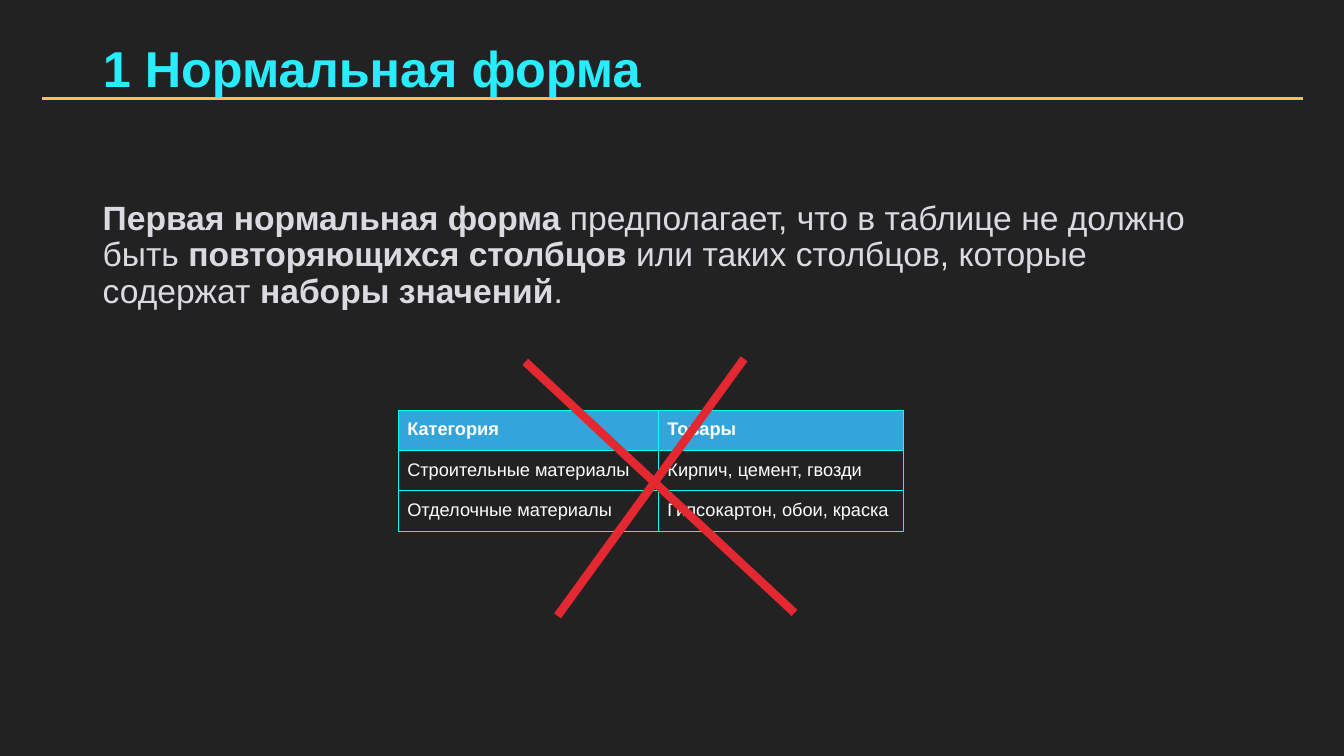
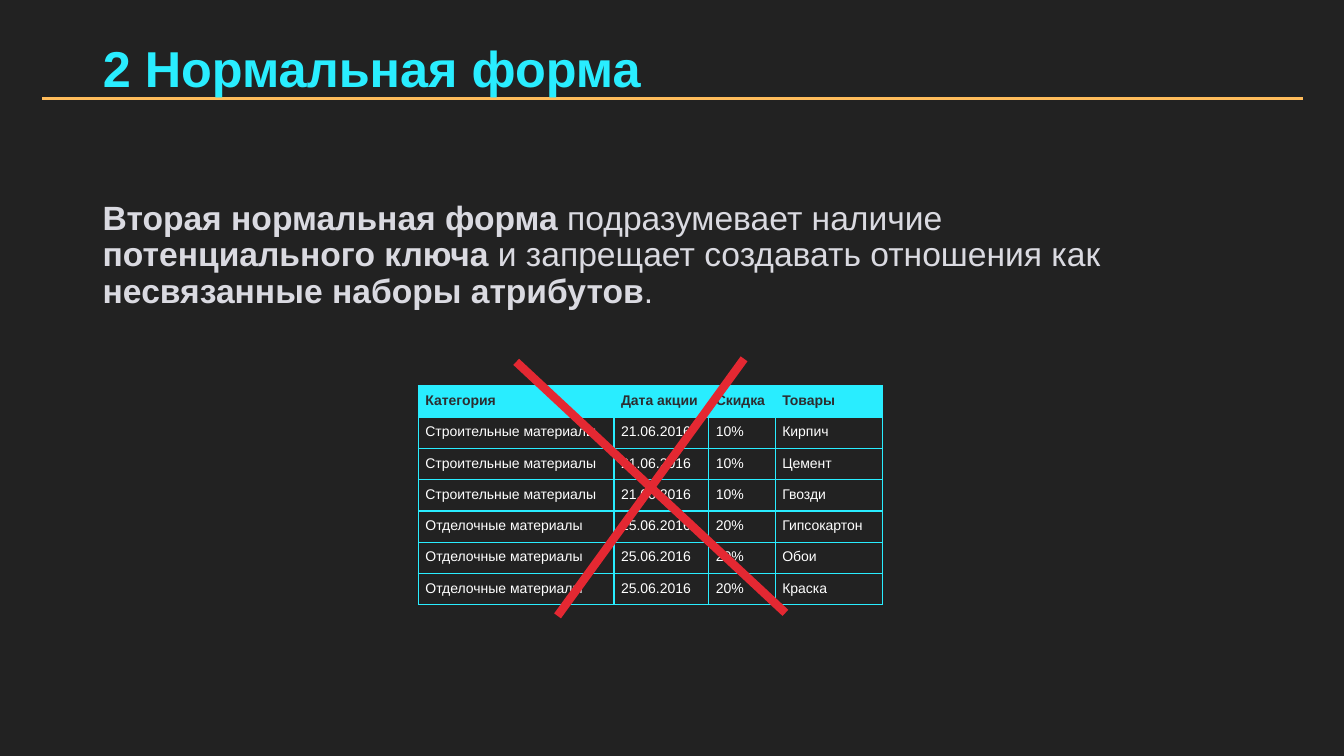
from lxml.etree import SubElement
from pptx import Presentation
from pptx.dml.color import RGBColor
from pptx.enum.shapes import MSO_CONNECTOR
from pptx.enum.text import MSO_ANCHOR, MSO_AUTO_SIZE, PP_ALIGN
from pptx.oxml.ns import qn
from pptx.util import Inches, Pt

BACK, GOLD, CYAN, PALE = "222222", "FFBC5B", "29EDFF", "DADAE1"
RED, WHITE, BLUE, AQUA, DARK = "E42832", "FFFFFF", "34A5DA", "00FFFF", "2C2D30"


def color(code):
    return RGBColor.from_string(code)


class Deck:
    """Holds the shared style and the current slide."""

    font = "Arial"

    def __init__(self):
        self.prs = Presentation()
        self.prs.slide_width, self.prs.slide_height = Inches(13.33), Inches(7.5)
        fill = self.prs.slide_master.background.fill
        fill.solid()
        fill.fore_color.rgb = color(BACK)
        self.slide = None

    def style(self, run, size, code, bold):
        font = run.font
        font.name, font.size, font.bold = self.font, Pt(size), bold
        font.color.rgb = color(code)

    def place(self, shape, left, top, width, height):
        shape.left, shape.top = Inches(left), Inches(top)
        shape.width, shape.height = Inches(width), Inches(height)

    def pad(self, box, side, edge):
        box.margin_left = box.margin_right = Inches(side)
        box.margin_top = box.margin_bottom = Inches(edge)

    def start(self, text):
        self.slide = self.prs.slides.add_slide(self.prs.slide_layouts[5])
        title = self.slide.shapes.title
        self.place(title, 0.92, 0.4, 11.5, 0.61)
        frame = title.text_frame
        frame.text = text
        frame.auto_size = MSO_AUTO_SIZE.NONE
        frame.vertical_anchor = MSO_ANCHOR.MIDDLE
        self.pad(frame, 0.1, 0.05)
        para = frame.paragraphs[0]
        para.alignment, para.line_spacing = PP_ALIGN.LEFT, 0.9
        self.style(para.runs[0], 36, CYAN, True)
        rule = self.line((0.42, 0.98), (12.92, 0.98), GOLD, 2)
        title.element.addprevious(rule.element)

    def line(self, start, end, code, width):
        line = self.slide.shapes.add_connector(
            MSO_CONNECTOR.STRAIGHT, *map(Inches, start + end))
        line.line.color.rgb = color(code)
        line.line.width = Pt(width)
        SubElement(line.element.spPr, qn("a:effectLst"))
        return line

    def body(self, parts):
        box = self.slide.shapes.add_textbox(
            Inches(0.92), Inches(1.9), Inches(11.08), Inches(1.29))
        frame = box.text_frame
        frame.word_wrap = True
        frame.auto_size = MSO_AUTO_SIZE.SHAPE_TO_FIT_TEXT
        self.pad(frame, 0.1, 0.1)
        para = frame.paragraphs[0]
        para.line_spacing, para.space_before = 0.9, Pt(10)
        for spot, text in enumerate(parts):
            run = para.add_run()
            run.text = text
            self.style(run, 24, PALE, spot % 2 == 0)

    def border(self, cell, code):
        props = cell._tc.get_or_add_tcPr()
        for side in "LRTB":
            edge = SubElement(props, qn(f"a:ln{side}"), w=str(Pt(1)))
            fill = SubElement(edge, qn("a:solidFill"))
            SubElement(fill, qn("a:srgbClr"), val=code)

    def table(self, left, top, cols, high, rows, size, inset, edge, head, ink):
        table = self.slide.shapes.add_table(
            len(rows), len(cols), Inches(left), Inches(top),
            Inches(sum(cols)), Inches(high * len(rows))).table
        table.first_row = table.horz_banding = False
        for col, width in zip(table.columns, cols):
            col.width = Inches(width)
        for r, row in enumerate(rows):
            for c, text in enumerate(row):
                cell = table.cell(r, c)
                cell.text_frame.text = text
                self.pad(cell, inset, inset)
                self.border(cell, edge)
                if r == 0:
                    cell.fill.solid()
                    cell.fill.fore_color.rgb = color(head)
                else:
                    cell.fill.background()
                run = cell.text_frame.paragraphs[0].runs[0]
                self.style(run, size, WHITE if r else ink, r == 0)

    def cross(self, left):
        self.line((left, 3.59), (left + 2.67, 6.08), RED, 6)
        self.line((7.38, 3.56), (5.53, 6.11), RED, 6)


def main():
    build, trim = "Строительные материалы", "Отделочные материалы"
    deck = Deck()

    deck.start("1 Нормальная форма")
    deck.body(["Первая нормальная форма",
               " предполагает, что в таблице не должно быть ",
               "повторяющихся столбцов ",
               "или таких столбцов, которые содержат ",
               "наборы значений", "."])
    rows = [("Категория", "Товары"),
            (build, "Кирпич, цемент, гвозди"),
            (trim, "Гипсокартон, обои, краска")]
    deck.table(3.95, 4.07, [2.58, 2.43], 0.4, rows, 13, 0.09, AQUA, BLUE, WHITE)
    deck.cross(5.21)

    deck.start("2 Нормальная форма")
    deck.body(["Вторая нормальная форма", " подразумевает наличие ",
               "потенциального ключа",
               " и запрещает создавать отношения как ",
               "несвязанные наборы атрибутов", "."])
    sales = [(build, "21.06.2016", "10%", ("Кирпич", "Цемент", "Гвозди")),
             (trim, "25.06.2016", "20%", ("Гипсокартон", "Обои", "Краска"))]
    rows = [("Категория", "Дата акции", "Скидка", "Товары")]
    rows += [(*sale, item) for *sale, items in sales for item in items]
    deck.table(4.15, 3.83, [1.94, 0.94, 0.66, 1.06], 0.31, rows, 10, 0.07,
               CYAN, CYAN, DARK)
    deck.cross(5.12)

    deck.prs.save("out.pptx")


if __name__ == "__main__":
    main()
